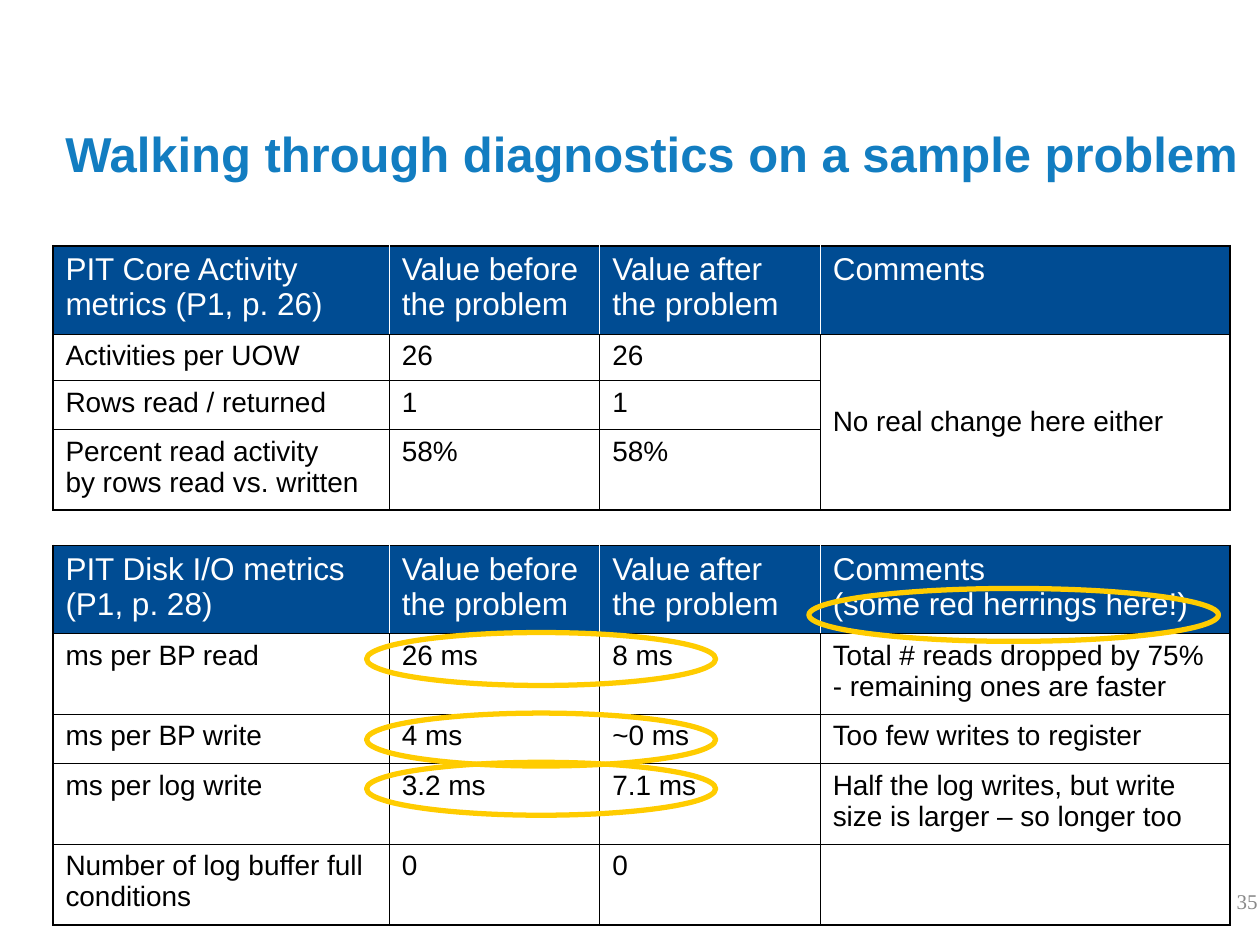
import pptx
import pptx.dml.color
import pptx.enum.shapes
import pptx.enum.text
import pptx.oxml.ns
import pptx.util
from lxml import etree
from pptx.util import Inches, Pt

COLORS = {
    "title": "127DC1",
    "header": "004C93",
    "white": "FFFFFF",
    "black": "000000",
    "number": "898989",
    "ring": "FFCC00",
}
ANCHOR = pptx.enum.text.MSO_ANCHOR
ALIGN = pptx.enum.text.PP_ALIGN
OUTER, INNER = 1.08, 0.45
COLUMN_WIDTHS = [2.67, 1.67, 1.75, 3.25]
VALUE_HEADERS = ["Value before the problem", "Value after the problem"]

CORE_ROWS = [
    ["PIT Core Activity metrics (P1, p. 26)", *VALUE_HEADERS, "Comments"],
    ["Activities per UOW", "26", "26", "No real change here either"],
    ["Rows read / returned", "1", "1", ""],
    ["Percent read activity\nby rows read vs. written", "58%", "58%", ""],
]
DISK_ROWS = [
    ["PIT Disk I/O metrics (P1, p. 28)", *VALUE_HEADERS,
     "Comments\n(some red herrings here!)"],
    ["ms per BP read", "26 ms", "8 ms",
     "Total # reads dropped by 75% - remaining ones are faster"],
    ["ms per BP write", "4 ms", "~0 ms", "Too few writes to register"],
    ["ms per log write", "3.2 ms", "7.1 ms",
     "Half the log writes, but write size is larger – so longer too"],
    ["Number of log buffer full conditions", "0", "0", ""],
]


def rgb(name):
    return pptx.dml.color.RGBColor.from_string(COLORS[name])


class SlideBuilder:
    """Holds the text style and the slide being filled."""

    def __init__(self, slide, font="Arial"):
        self.slide = slide
        self.font = font

    def add_lines(self, para, text, size, color, bold=False, font=None):
        """Add text to a paragraph, turning newlines into line breaks."""
        para.font.size = Pt(size)
        for index, line in enumerate(text.split("\n")):
            if index:
                para.add_line_break()
            if line:
                span = para.add_run()
                span.text = line
                span.font.name = font or self.font
                span.font.size = Pt(size)
                span.font.bold = bold
                span.font.color.rgb = rgb(color)

    def text(self, left, top, width, height, text, size, color, anchor,
             align=ALIGN.LEFT, line_spacing=1.0, bold=False, font=None):
        box = self.slide.shapes.add_textbox(
            Inches(left), Inches(top), Inches(width), Inches(height))
        frame = box.text_frame
        frame.word_wrap = True
        frame.vertical_anchor = anchor
        para = frame.paragraphs[0]
        para.alignment = align
        para.line_spacing = line_spacing
        self.add_lines(para, text, size, color, bold, font)

    def border(self, cell, position, side, color, width):
        """Insert one cell edge; edges must stand before the fill, in order."""
        line = etree.Element(pptx.oxml.ns.qn(f"a:ln{side}"), w=str(Pt(width)))
        fill = etree.SubElement(line, pptx.oxml.ns.qn("a:solidFill"))
        etree.SubElement(fill, pptx.oxml.ns.qn("a:srgbClr"), val=COLORS[color])
        cell._tc.get_or_add_tcPr().insert(position, line)

    def cell_borders(self, cell, row, column, last_row, last_column):
        """Heavy black outside, thin inside, white dividers in the header."""
        bottom_row = row + (cell.span_height if cell.is_merge_origin else 1) - 1
        edges = [("L", column == 0), ("R", column == last_column),
                 ("T", row == 0), ("B", bottom_row == last_row)]
        for position, (side, outside) in enumerate(edges):
            divider = row == 0 and side in "LR" and not outside
            self.border(cell, position, side, "white" if divider else "black",
                        OUTER if outside else INNER)

    def table(self, left, top, heights, rows, merged=None):
        """Draw a table; merged is a (first, last) pair of cell positions."""
        frame = self.slide.shapes.add_table(
            len(rows), len(COLUMN_WIDTHS), Inches(left), Inches(top),
            Inches(sum(COLUMN_WIDTHS)), Inches(sum(heights)))
        table = frame.table
        table.first_row = table.horz_banding = False
        for column, width in zip(table.columns, COLUMN_WIDTHS):
            column.width = Inches(width)
        for row, height in zip(table.rows, heights):
            row.height = Inches(height)
        if merged:
            first, last = merged
            table.cell(*first).merge(table.cell(*last))
            table.cell(*first).vertical_anchor = ANCHOR.MIDDLE
        for r, texts in enumerate(rows):
            size, color = (18, "white") if r == 0 else (16, "black")
            for c, text in enumerate(texts):
                cell = table.cell(r, c)
                if r == 0:
                    cell.fill.solid()
                    cell.fill.fore_color.rgb = rgb("header")
                else:
                    cell.fill.background()
                para = cell.text_frame.paragraphs[0]
                para.space_before = Pt(size / 4)
                self.add_lines(para, text, size, color)
                self.cell_borders(cell, r, c, len(rows) - 1, len(texts) - 1)

    def ring(self, left, top, width, height=0.42):
        shape = self.slide.shapes.add_shape(
            pptx.enum.shapes.MSO_SHAPE.OVAL,
            Inches(left), Inches(top), Inches(width), Inches(height))
        shape.shadow.inherit = False
        shape.fill.background()
        shape.line.color.rgb = rgb("ring")
        shape.line.width = Pt(3)


def main():
    deck = pptx.Presentation()
    deck.slide_width, deck.slide_height = Inches(10), Inches(7.5)
    page = SlideBuilder(deck.slides.add_slide(deck.slide_layouts[6]))

    page.text(0.42, 0.83, 9.83, 0.67,
              "Walking through diagnostics on a sample problem",
              28, "title", ANCHOR.BOTTOM, line_spacing=0.9, bold=True)
    page.table(0.42, 4.33, [0.7, 0.64, 0.39, 0.64, 0.64], DISK_ROWS)
    page.table(0.42, 1.95, [0.7, 0.37, 0.39, 0.64], CORE_ROWS,
               merged=((1, 3), (3, 3)))
    page.text(7.75, 6.95, 2.33, 0.4, "35", 12, "number", ANCHOR.MIDDLE,
              align=ALIGN.RIGHT, font="Times New Roman")

    page.ring(6.42, 4.67, 3.25)
    for top in (5.02, 5.66, 6.05):
        page.ring(2.91, top, 2.77)

    deck.save("out.pptx")


if __name__ == "__main__":
    main()
